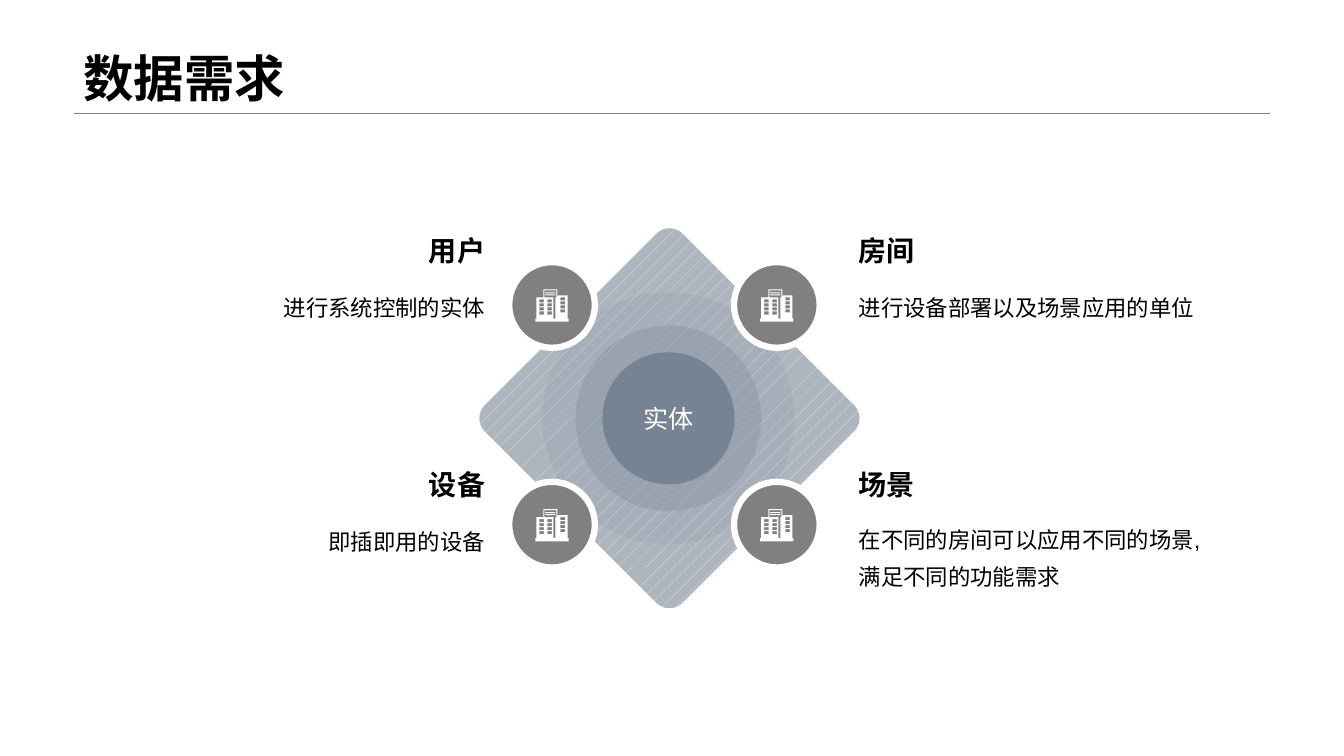
from math import cos, sin, radians
from lxml.etree import SubElement
from pptx import Presentation
from pptx.dml.color import RGBColor
from pptx.enum.dml import MSO_PATTERN
from pptx.enum.shapes import MSO_CONNECTOR, MSO_SHAPE
from pptx.enum.text import MSO_ANCHOR, PP_ALIGN
from pptx.oxml.ns import qn
from pptx.util import Inches, Pt

TITLE = "数据需求"
CENTER_LABEL = "实体"
ENTITIES = [
    ("用户", ["进行系统控制的实体"], 0, 0, 1.5),
    ("设备", ["即插即用的设备"], 0, 1, 1.5),
    ("房间", ["进行设备部署以及场景应用的单位"], 1, 0, 1.5),
    ("场景", ["在不同的房间可以应用不同的场景,", "满足不同的功能需求"], 1, 1, 1.4),
]
FONT = "Arial"
BLACK, WHITE, GRAY, SLATE = "000000", "FFFFFF", "808080", "768394"
CENTER_X, CENTER_Y = 6.64, 4.15
RINGS = [(2.5, 12), (1.84, 28), (1.31, 100)]
CORNER_DISTANCE, CORNER_RADIUS = 1.7, 0.185
BADGE_X, BADGE_Y, BADGE_SIZE = (5.05, 7.28), (2.6, 4.78), 0.85
TEXT_X, HEADING_Y = (0.31, 8.42), (2.22, 4.54)
TEXT_WIDTH, HEADING_HEIGHT, BODY_HEIGHT = 4.6, 0.52, 0.82


def box(left, top, width, height):
    return [(left, top), (left + width, top),
            (left + width, top + height), (left, top + height)]


WINDOWS = [box(x, top + 0.04 * row, 0.045, 0.03)
           for x, top in ((0.04, 0.1), (0.12, 0.1), (0.25, 0.08)) for row in range(4)]
SIGN_LINES = [box(0.1, y, 0.1, 0.01) for y in (0.03, 0.05)]
SIGN = [(0.09, 0.01), (0.09, 0.08), (0.18, 0.08), (0.18, 0.29),
        (0.2, 0.29), (0.2, 0.08), (0.21, 0.08), (0.21, 0.01)]
WALLS = [(0.08, 0), (0.22, 0), (0.22, 0.07), (0.23, 0.06), (0.32, 0.06), (0.32, 0.29),
         (0.33, 0.29), (0.33, 0.32), (0, 0.32), (0, 0.29), (0.01, 0.29), (0.01, 0.08),
         (0.08, 0.08)]
BUILDING = WINDOWS + SIGN_LINES + [SIGN, WALLS]

presentation = Presentation()
presentation.slide_width, presentation.slide_height = Inches(13.33), Inches(7.5)
slide = presentation.slides.add_slide(presentation.slide_layouts[6])


def color(value):
    return RGBColor.from_string(value)


def fill_shape(shape, value, alpha=100):
    shape.shadow.inherit = False
    shape.line.fill.background()
    shape.fill.solid()
    shape.fill.fore_color.rgb = color(value)
    if alpha < 100:
        fill_color = shape._element.spPr.find(qn("a:solidFill"))[0]
        SubElement(fill_color, qn("a:alpha")).set("val", str(alpha * 1000))


def add_ellipse(left, top, size, value, alpha=100):
    shape = slide.shapes.add_shape(MSO_SHAPE.OVAL, Inches(left), Inches(top),
                                   Inches(size), Inches(size))
    fill_shape(shape, value, alpha)
    return shape


def add_outline(contours, left, top):
    builder = None
    for contour in contours:
        points = [(Inches(left + x), Inches(top + y)) for x, y in contour]
        if builder is None:
            builder = slide.shapes.build_freeform(*points[0])
        else:
            builder.move_to(*points[0])
        builder.add_line_segments(points[1:], close=True)
    return builder.convert_to_shape()


def write_text(shape, lines, size, value, align, anchor, bold=False, spacing=1.0):
    frame = shape.text_frame
    frame.word_wrap = True
    frame.vertical_anchor = anchor
    for index, line in enumerate(lines):
        paragraph = frame.add_paragraph() if index else frame.paragraphs[0]
        paragraph.alignment = align
        paragraph.line_spacing = spacing
        run = paragraph.add_run()
        run.text = line
        run.font.name, run.font.size, run.font.bold = FONT, Pt(size), bold
        run.font.color.rgb = color(value)


def add_text(left, top, width, height, *args, **options):
    shape = slide.shapes.add_textbox(Inches(left), Inches(top), Inches(width), Inches(height))
    write_text(shape, *args, **options)


rule = slide.shapes.add_connector(MSO_CONNECTOR.STRAIGHT, Inches(0.73), Inches(1.12),
                                  Inches(12.6), Inches(1.12))
rule.line.color.rgb = color(GRAY)
rule.line.width = Pt(0.25)
SubElement(rule._element.spPr, qn("a:effectLst"))
add_text(0.73, 0, 11.87, 1.12, [TITLE], 36, BLACK, PP_ALIGN.LEFT, MSO_ANCHOR.BOTTOM,
         bold=True, spacing=0.9)

diamond_points = [
    (CORNER_DISTANCE * cos(radians(corner)) + CORNER_RADIUS * cos(radians(corner + turn)),
     CORNER_DISTANCE * sin(radians(corner)) + CORNER_RADIUS * sin(radians(corner + turn)))
    for corner in range(0, 360, 90) for turn in range(-45, 46, 9)]
diamond = add_outline([diamond_points], CENTER_X, CENTER_Y)
diamond.shadow.inherit = False
diamond.line.fill.background()
diamond.fill.patterned()
diamond.fill.pattern = MSO_PATTERN.PERCENT_5
diamond.fill.fore_color.rgb = color("E4E6EA")
diamond.fill.back_color.rgb = color("ADB5BF")

for ring_size, ring_alpha in RINGS:
    ring = add_ellipse(CENTER_X - ring_size / 2 - 0.01, CENTER_Y - ring_size / 2,
                       ring_size, SLATE, ring_alpha)
write_text(ring, [CENTER_LABEL], 18, WHITE, PP_ALIGN.CENTER, MSO_ANCHOR.MIDDLE)

for heading, body, column, row, spacing in ENTITIES:
    badge_left, badge_top = BADGE_X[column], BADGE_Y[row]
    badge = add_ellipse(badge_left, badge_top, BADGE_SIZE, GRAY)
    badge.line.color.rgb = color(WHITE)
    badge.line.width = Pt(4.5)
    fill_shape(add_outline(BUILDING, badge_left + 0.26, badge_top + 0.27), WHITE)

    align = (PP_ALIGN.RIGHT, PP_ALIGN.LEFT)[column]
    text_left, heading_top = TEXT_X[column], HEADING_Y[row]
    add_text(text_left, heading_top + HEADING_HEIGHT, TEXT_WIDTH, BODY_HEIGHT,
             body, 16, BLACK, align, MSO_ANCHOR.TOP, spacing=spacing)
    add_text(text_left, heading_top, TEXT_WIDTH, HEADING_HEIGHT,
             [heading], 20, BLACK, align, MSO_ANCHOR.MIDDLE, bold=True)

presentation.save("out.pptx")
